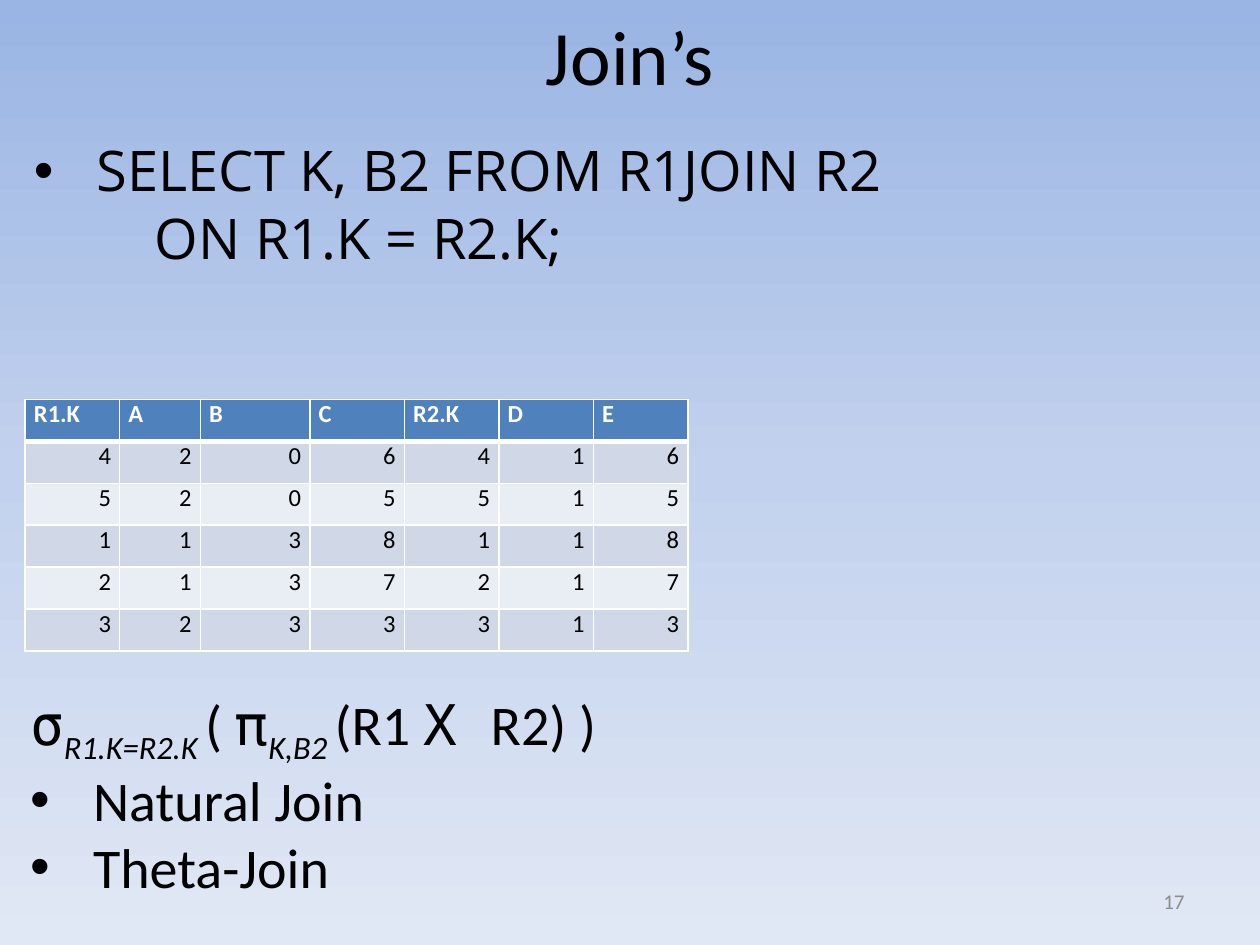
import pptx
import pptx.util
import pptx.dml.color
import pptx.enum.text
import pptx.oxml.ns
import copy
from lxml import etree

COLORS = {
    "sky_top": "9AB5E4", "sky_middle": "C2D1ED", "sky_bottom": "E1E8F5",
    "text": "000000", "number": "8C8C8C", "white": "FFFFFF",
    "header": "4F81BD", "band_dark": "D0D8E8", "band_light": "E9EDF4",
}
GREEK = "DejaVu Sans Mono"
ALIGN = pptx.enum.text.PP_ALIGN
ANCHOR = pptx.enum.text.MSO_ANCHOR
qn = pptx.oxml.ns.qn

presentation = pptx.Presentation()
presentation.slide_width = pptx.util.Inches(10)
presentation.slide_height = pptx.util.Inches(7.5)
# The slide is a grid of 100 columns by 100 rows
COLUMN = presentation.slide_width / 100
ROW = presentation.slide_height / 100
slide = presentation.slides.add_slide(presentation.slide_layouts[5])


def write(paragraph, text, font="Calibri", size=32, color="text", bold=False,
          italic=False, baseline=0, align=ALIGN.LEFT, left=0, bullet=False):
    paragraph.alignment = align
    properties = paragraph._p.get_or_add_pPr()
    if left:
        properties.set("marL", str(pptx.util.Inches(left)))
        properties.set("indent", str(pptx.util.Inches(-left if bullet else 0)))
    if bullet:
        etree.SubElement(properties, qn("a:buFont"), typeface="Arial")
        etree.SubElement(properties, qn("a:buChar"), char="•")
    run = paragraph.add_run()
    run.text = text
    run.font.name = font
    run.font.size = pptx.util.Pt(size)
    run.font.bold = bold
    run.font.italic = italic
    run.font.color.rgb = pptx.dml.color.RGBColor.from_string(COLORS[color])
    if baseline:
        run.font._element.set("baseline", str(baseline * 1000))


def add_text_box(column, row, columns, rows, anchor=ANCHOR.TOP):
    box = slide.shapes.add_textbox(int(column * COLUMN), int(row * ROW),
                                   int(columns * COLUMN), int(rows * ROW))
    box.text_frame.word_wrap = True
    box.text_frame.vertical_anchor = anchor
    return box.text_frame


# Background gradient, top to bottom
fill = slide.background.fill
fill.gradient()
fill.gradient_angle = 270
stop_list = slide._element.find(".//" + qn("a:gsLst"))
stop_list.insert(1, copy.deepcopy(stop_list[0]))
for stop, position, name in zip(fill.gradient_stops, (0, 0.5, 1),
                                ("sky_top", "sky_middle", "sky_bottom")):
    stop.position = position
    stop.color.rgb = pptx.dml.color.RGBColor.from_string(COLORS[name])

# Title
title = slide.shapes.title
title.left, title.top = int(5 * COLUMN), int(0.27 * ROW)
title.width, title.height = int(90 * COLUMN), int(11 * ROW)
title.text_frame.vertical_anchor = ANCHOR.MIDDLE
write(title.text_frame.paragraphs[0], "Join’s", size=44, align=ALIGN.CENTER)

# Slide number
number = add_text_box(71.7, 92.67, 23.3, 5.33, anchor=ANCHOR.MIDDLE)
write(number.paragraphs[0], "17", size=12, color="number", align=ALIGN.RIGHT)

# SQL query
query = add_text_box(1.7, 13.73, 95, 15.73)
write(query.paragraphs[0], "SELECT K, B2 FROM R1JOIN R2", font="Open Sans",
      left=0.5, bullet=True)
write(query.add_paragraph(), "ON R1.K = R2.K;", font="Open Sans", left=0.96)

# Joined table
records = [
    ("R1.K", "A", "B", "C", "R2.K", "D", "E"),
    (4, 2, 0, 6, 4, 1, 6),
    (5, 2, 0, 5, 5, 1, 5),
    (1, 1, 3, 8, 1, 1, 8),
    (2, 1, 3, 7, 2, 1, 7),
    (3, 2, 3, 3, 3, 1, 3),
]
widths = [7.5, 6.4, 8.7, 7.5, 7.5, 7.5, 7.5]
row_height = 4.44
table = slide.shapes.add_table(
    len(records), len(widths), int(2 * COLUMN), int(42.27 * ROW),
    int(sum(widths) * COLUMN), int(len(records) * row_height * ROW)).table
for table_column, width in zip(table.columns, widths):
    table_column.width = int(width * COLUMN)

for row_index, record in enumerate(records):
    is_header = row_index == 0
    band = "header" if is_header else ("band_light", "band_dark")[row_index % 2]
    # A thick rule parts the header from the body
    borders = {"L": 1, "R": 1, "T": 3 if row_index == 1 else 1,
               "B": 3 if is_header else 1}
    for column_index, value in enumerate(record):
        cell = table.cell(row_index, column_index)
        cell.margin_left = cell.margin_right = pptx.util.Inches(0.07)
        cell.margin_top = cell.margin_bottom = 0
        for side, weight in borders.items():
            line = etree.SubElement(cell._tc.get_or_add_tcPr(), qn("a:ln" + side),
                                    w=str(pptx.util.Pt(weight)))
            solid = etree.SubElement(line, qn("a:solidFill"))
            etree.SubElement(solid, qn("a:srgbClr"), val=COLORS["white"])
        cell.fill.solid()
        cell.fill.fore_color.rgb = pptx.dml.color.RGBColor.from_string(COLORS[band])
        write(cell.text_frame.paragraphs[0], str(value), size=14, bold=is_header,
              color="white" if is_header else "text",
              align=ALIGN.LEFT if is_header else ALIGN.RIGHT)

# Relational algebra and kinds of join
algebra = add_text_box(1.4, 72.27, 55.2, 22.93)
subscript = {"italic": True, "baseline": -25}
for text, style in [
    ("σ", {"font": GREEK}), ("R1.K=R2.K ", subscript), ("( ", {}),
    ("π", {"font": GREEK}), ("K,B2 ", subscript), ("(R1 ", {}),
    ("Χ ", {"font": GREEK}), ("R2) )", {}),
]:
    write(algebra.paragraphs[0], text, **style)
for text in ("Natural Join", "Theta-Join"):
    write(algebra.add_paragraph(), text, left=0.5, bullet=True)

presentation.save("out.pptx")
